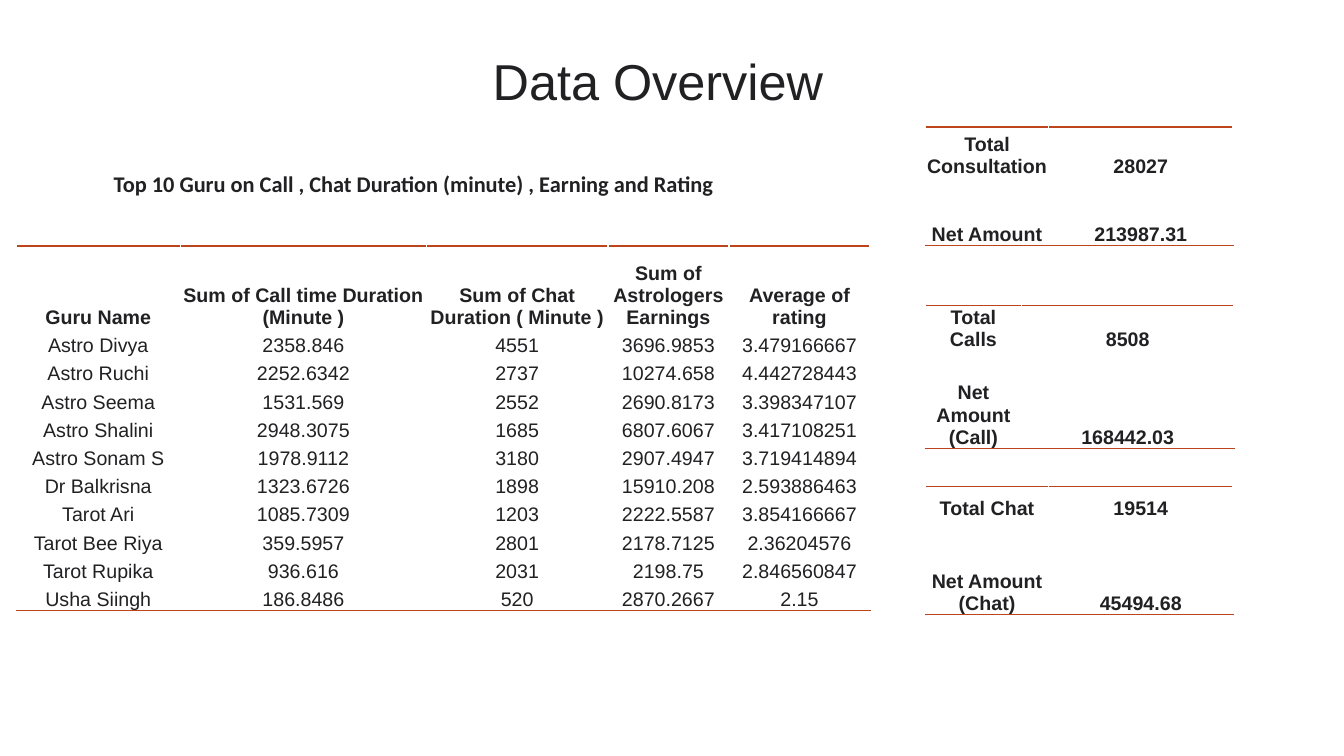
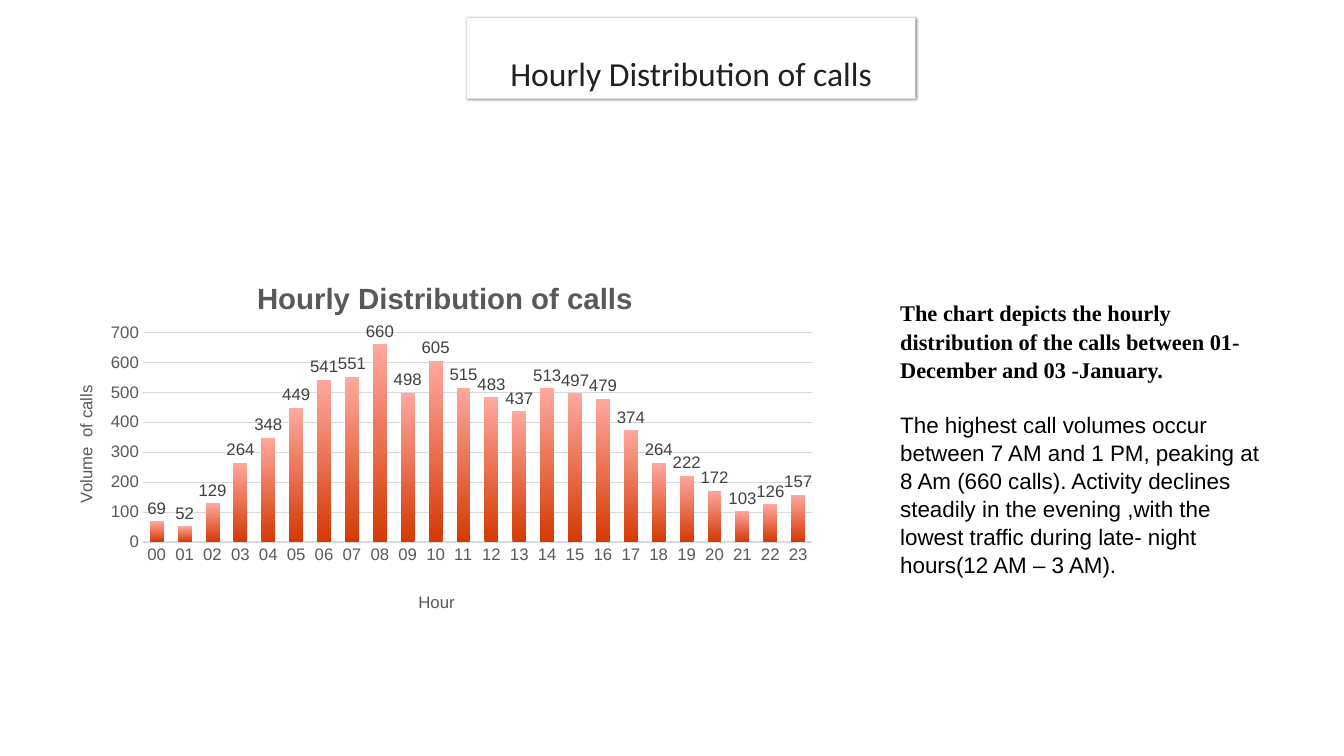
import pptx
import pptx.chart.data
import pptx.dml.color
import pptx.enum.chart
import pptx.enum.text
import pptx.oxml
import pptx.oxml.ns
import pptx.util
from pptx.util import Inches

INK, RUST, GREY, GRID = "212123", "BC451B", "595959", "D9D9D9"
CENTER = pptx.enum.text.PP_ALIGN.CENTER
ANCHOR = pptx.enum.text.MSO_ANCHOR
SHADOW = ('<a:effectLst {ns}><a:outerShdw blurRad="{blur}" dist="{dist}" dir="2700000" algn="tl" '
          'rotWithShape="0"><a:srgbClr val="000000"><a:alpha val="46000"/></a:srgbClr>'
          '</a:outerShdw></a:effectLst>')
BORDER = ('<a:{side} {ns} w="12700"><a:solidFill><a:srgbClr val="{color}"/></a:solidFill>'
          '<a:prstDash val="solid"/></a:{side}>')
LAYOUT = '<c:layout {ns}><c:manualLayout>{parts}</c:manualLayout></c:layout>'

GURU_WIDTHS = [1.63, 2.44, 1.8, 1.2, 1.4]
GURU_ROWS = [
    ["Guru Name", "Sum of Call time Duration (Minute )", "Sum of Chat Duration ( Minute )",
     "Sum of Astrologers Earnings", "Average of rating"],
    ["Astro Divya", "2358.846", "4551", "3696.9853", "3.479166667"],
    ["Astro Ruchi", "2252.6342", "2737", "10274.658", "4.442728443"],
    ["Astro Seema", "1531.569", "2552", "2690.8173", "3.398347107"],
    ["Astro Shalini", "2948.3075", "1685", "6807.6067", "3.417108251"],
    ["Astro Sonam S", "1978.9112", "3180", "2907.4947", "3.719414894"],
    ["Dr Balkrisna", "1323.6726", "1898", "15910.208", "2.593886463"],
    ["Tarot Ari", "1085.7309", "1203", "2222.5587", "3.854166667"],
    ["Tarot Bee Riya", "359.5957", "2801", "2178.7125", "2.36204576"],
    ["Tarot Rupika", "936.616", "2031", "2198.75", "2.846560847"],
    ["Usha Siingh", "186.8486", "520", "2870.2667", "2.15"],
]
SUMMARIES = [
    (1.26, [1.22, 1.83], [0.5, 0.34, 0.34],
     [["Total Consultation", "28027"], ["", ""], ["Net Amount", "213987.31"]]),
    (3.03, [0.95, 2.11], [0.44, 0.25, 0.72],
     [["Total Calls", "8508"], ["", ""], ["Net Amount (Call)", "168442.03"]]),
    (4.83, [1.22, 1.83], [0.33, 0.33, 0.61],
     [["Total Chat", "19514"], ["", ""], ["Net Amount (Chat)", "45494.68"]]),
]
CALLS_BY_HOUR = [69, 52, 129, 264, 348, 449, 541, 551, 660, 498, 605, 515,
                 483, 437, 513, 497, 479, 374, 264, 222, 172, 103, 126, 157]


def rgb(color):
    """Turn a hex string into a colour."""
    return pptx.dml.color.RGBColor.from_string(color)


def drawing_xml(template, **values):
    """Fill in a drawing element and parse it."""
    return pptx.oxml.parse_xml(template.format(ns=pptx.oxml.ns.nsdecls("a"), **values))


def format_font(font, size, color=INK, face="Arial", bold=False):
    """Set size, colour, face and weight of a font."""
    font.size = pptx.util.Pt(size)
    font.color.rgb = rgb(color)
    font.name = face
    font.bold = bold


def write(paragraph, text, align=None, spacing=None, before=None, **font):
    """Write a formatted run into a paragraph and return the run."""
    run = paragraph.add_run()
    run.text = text
    format_font(run.font, **font)
    paragraph.alignment = align
    paragraph.line_spacing = spacing
    if before is not None:
        paragraph.space_before = pptx.util.Pt(before)
    return run


def place(shape, left, top, width, height):
    """Move and size a shape in inches."""
    shape.left, shape.top = Inches(left), Inches(top)
    shape.width, shape.height = Inches(width), Inches(height)


def add_title(slide, text, box, anchor, **style):
    """Place the slide title and return its shape and run."""
    title = slide.shapes.title
    place(title, *box)
    title.text_frame.vertical_anchor = anchor
    return title, write(title.text_frame.paragraphs[0], text, align=CENTER, **style)


def add_text_box(slide, left, top, width, height):
    """Add a wrapping text box and return its text frame."""
    frame = slide.shapes.add_textbox(*map(Inches, (left, top, width, height))).text_frame
    frame.word_wrap = True
    return frame


def fill_cell(cell, text, bold, sides):
    """Write a table cell and rule the given sides."""
    cell.margin_left = cell.margin_right = cell.margin_top = Inches(0.01)
    cell.margin_bottom = 0
    cell.vertical_anchor = ANCHOR.BOTTOM
    cell.fill.background()
    paragraph = cell.text_frame.paragraphs[0]
    if text:
        write(paragraph, text, align=CENTER, size=14, bold=bold)
    else:
        paragraph._p.get_or_add_endParaRPr().set("sz", "1400")
    properties = cell._tc.get_or_add_tcPr()
    for position, side in enumerate(sides):
        properties.insert(position, drawing_xml(BORDER, side=side, color=RUST))


def add_ruled_table(slide, left, top, widths, heights, rows, bold_rows):
    """Add a plain table ruled at its top and bottom."""
    table = slide.shapes.add_table(
        len(rows), len(widths), Inches(left), Inches(top),
        Inches(sum(widths)), Inches(sum(heights))).table
    table.first_row = table.horz_banding = False
    for column, width in zip(table.columns, widths):
        column.width = Inches(width)
    last = len(rows) - 1
    for index, (row, height) in enumerate(zip(rows, heights)):
        table.rows[index].height = Inches(height)
        sides = ["lnT"] * (index == 0) + ["lnB"] * (index == last)
        for column, text in enumerate(row):
            fill_cell(table.cell(index, column), text, index < bold_rows, sides)


def set_layout(element, position, **fractions):
    """Fix a chart part at fractions of the chart area."""
    for old in element.findall(pptx.oxml.ns.qn("c:layout")):
        element.remove(old)
    modes = {"xMode": "edge", "yMode": "edge"}
    if "w" in fractions:
        modes = {"layoutTarget": "inner", **modes}
    parts = "".join(f'<c:{key} val="{value}"/>' for key, value in {**modes, **fractions}.items())
    element.insert(position, pptx.oxml.parse_xml(
        LAYOUT.format(ns=pptx.oxml.ns.nsdecls("c"), parts=parts)))


def add_chart_title(owner, text, size, x, y, bold=False):
    """Title a chart or an axis at a fixed place."""
    owner.has_title = True
    title = owner.chart_title if hasattr(owner, "chart_title") else owner.axis_title
    write(title.text_frame.paragraphs[0], text, size=size, color=GREY, bold=bold)
    set_layout(title._element, 1, x=x, y=y)


def add_hourly_chart(slide, left, top, width, height):
    """Add the column chart of calls by hour."""
    data = pptx.chart.data.CategoryChartData()
    data.categories = [f"{hour:02d}" for hour in range(24)]
    data.add_series("Series 1", CALLS_BY_HOUR)
    chart = slide.shapes.add_chart(
        pptx.enum.chart.XL_CHART_TYPE.COLUMN_CLUSTERED,
        *map(Inches, (left, top, width, height)), data).chart
    chart.has_legend = False
    format_font(chart.font, 10, "000000")
    add_chart_title(chart, "Hourly Distribution of calls", 21, 0.26, 0.06, bold=True)
    hours, volume = chart.category_axis, chart.value_axis
    add_chart_title(hours, "Hour", 12, 0.47, 0.93)
    add_chart_title(volume, "Volume  of calls", 12, 0.03, 0.36)
    for axis in (hours, volume):
        axis.major_tick_mark = axis.minor_tick_mark = pptx.enum.chart.XL_TICK_MARK.NONE
        format_font(axis.tick_labels.font, 12, GREY)
    hours.format.line.color.rgb = rgb(GRID)
    hours.format.line.width = pptx.util.Pt(1)
    volume.minimum_scale, volume.maximum_scale, volume.major_unit = 0, 700, 100
    volume.format.line.fill.background()
    gridline = volume.major_gridlines.format.line
    gridline.color.rgb = rgb(GRID)
    gridline.width = pptx.util.Pt(0.75)

    plot = chart.plots[0]
    plot.gap_width, plot.overlap, plot.vary_by_categories = 100, -24, False
    columns = plot.series[0].format.fill
    columns.gradient()
    columns.gradient_angle = 90
    for stop, color in zip(columns.gradient_stops, ("D43903", "FFA89F")):
        stop.color.rgb = rgb(color)
    plot.has_data_labels = True
    labels = plot.data_labels
    labels.show_value = True
    labels.position = pptx.enum.chart.XL_LABEL_POSITION.OUTSIDE_END
    format_font(labels.font, 12, "404040")
    plot_area = chart._chartSpace.chart.plotArea
    set_layout(plot_area, 0, x=0.12, y=0.22, w=0.86, h=0.58)


def build_overview(slide):
    """Build the slide of totals and top gurus."""
    _, heading = add_title(slide, "Data Overview", (0.84, 0.34, 11.37, 0.92),
                           ANCHOR.MIDDLE, size=36)
    fill = heading.font._element.find(pptx.oxml.ns.qn("a:solidFill"))
    fill.addnext(drawing_xml(SHADOW, blur=38100, dist=25400))
    for top, widths, heights, rows in SUMMARIES:
        add_ruled_table(slide, 9.18, top, widths, heights, rows, bold_rows=len(rows))
    caption = add_text_box(slide, 1.03, 1.64, 7.04, 0.37)
    write(caption.paragraphs[0],
          "Top 10 Guru on Call , Chat Duration (minute) , Earning and Rating",
          size=16, face="Calibri", bold=True)
    add_ruled_table(slide, 0.16, 2.44, GURU_WIDTHS, [0.82] + [0.28] * 10,
                    GURU_ROWS, bold_rows=1)


def build_hourly(slide):
    """Build the slide of calls by hour."""
    banner, _ = add_title(slide, "Hourly Distribution of calls", (4.63, 0.18, 4.45, 0.8),
                          ANCHOR.BOTTOM, size=24, face="Calibri", spacing=0.9)
    banner.fill.solid()
    banner.fill.fore_color.rgb = rgb("FFFFFF")
    banner._element.spPr.append(drawing_xml(SHADOW, blur=25400, dist=6350))
    comment = add_text_box(slide, 8.83, 2.91, 3.81, 3.2)
    write(comment.paragraphs[0],
          "The chart depicts the hourly distribution of the calls between "
          "01-December and 03 -January.",
          size=16, color="000000", face="Times New Roman", bold=True, spacing=1.05)
    write(comment.add_paragraph(),
          "The highest call volumes occur between 7 AM and 1 PM, peaking at 8 Am (660 calls). "
          "Activity declines steadily in the evening ,with the lowest traffic during "
          "late- night hours(12 AM – 3 AM).",
          size=16, color="000000", spacing=1.05, before=19)
    add_hourly_chart(slide, 0.49, 2.51, 7.72, 3.61)


def main():
    """Build and save the presentation."""
    deck = pptx.Presentation()
    deck.slide_width, deck.slide_height = Inches(13.33), Inches(7.5)
    for build in (build_overview, build_hourly):
        build(deck.slides.add_slide(deck.slide_layouts[5]))
    deck.save("out.pptx")


if __name__ == "__main__":
    main()
